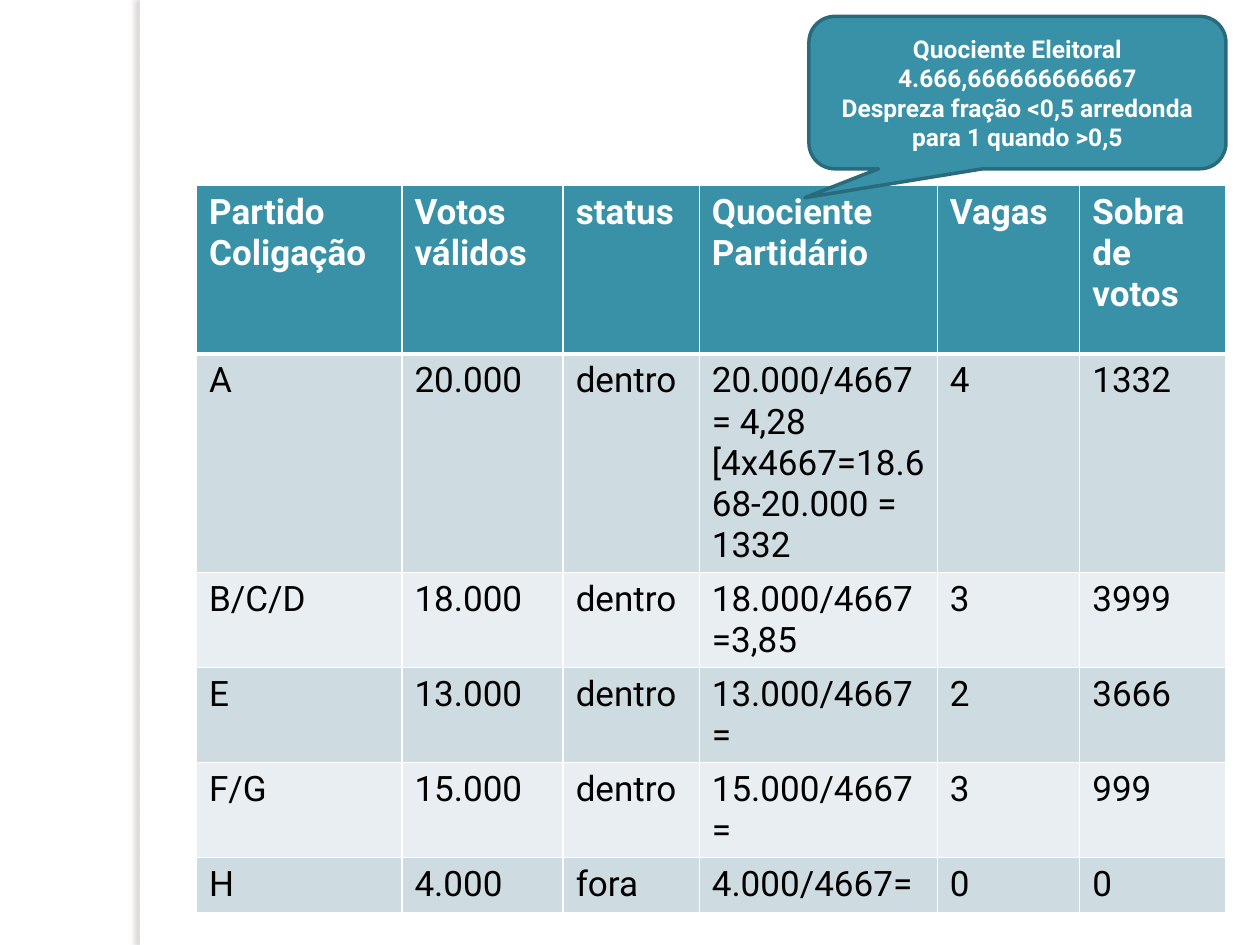
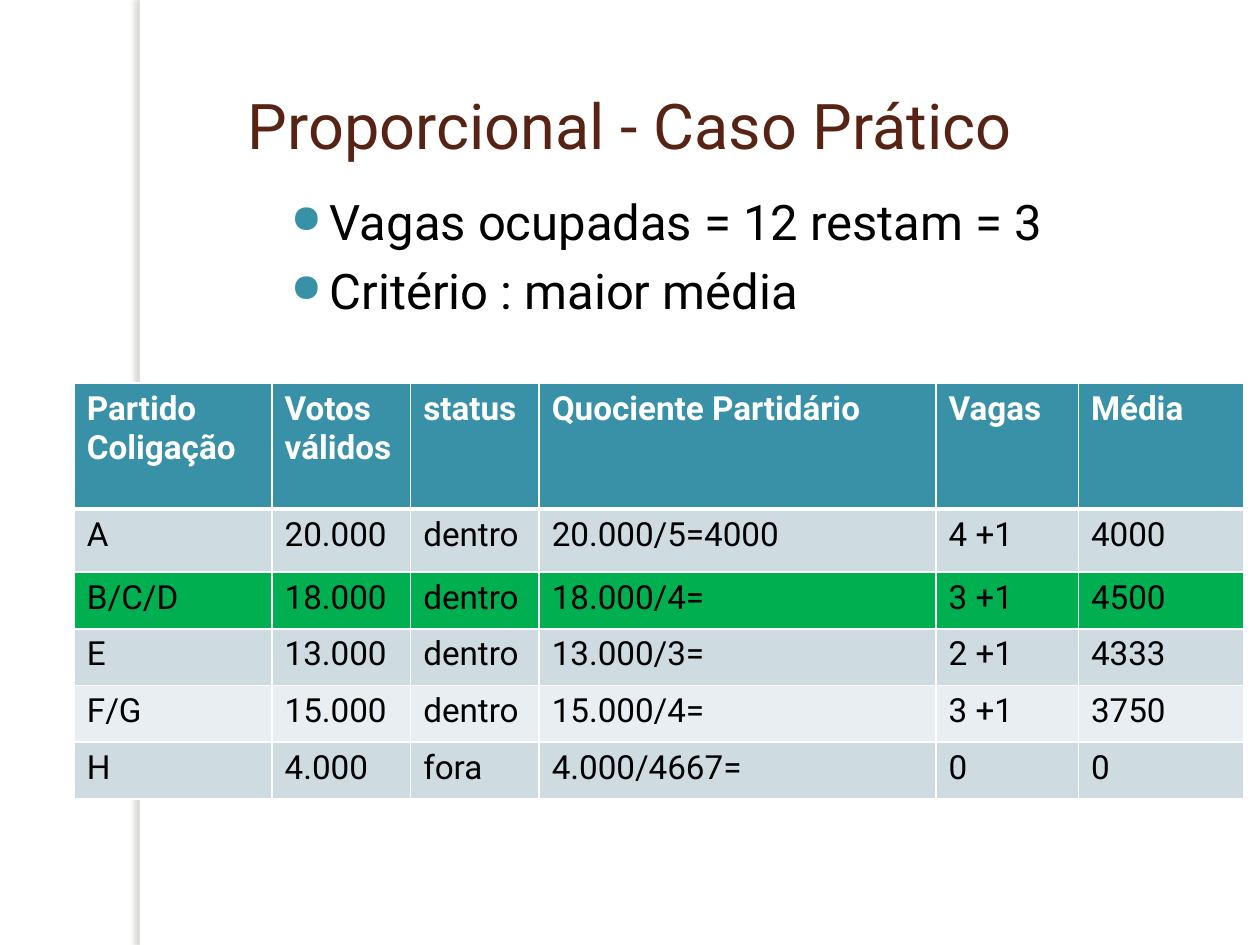
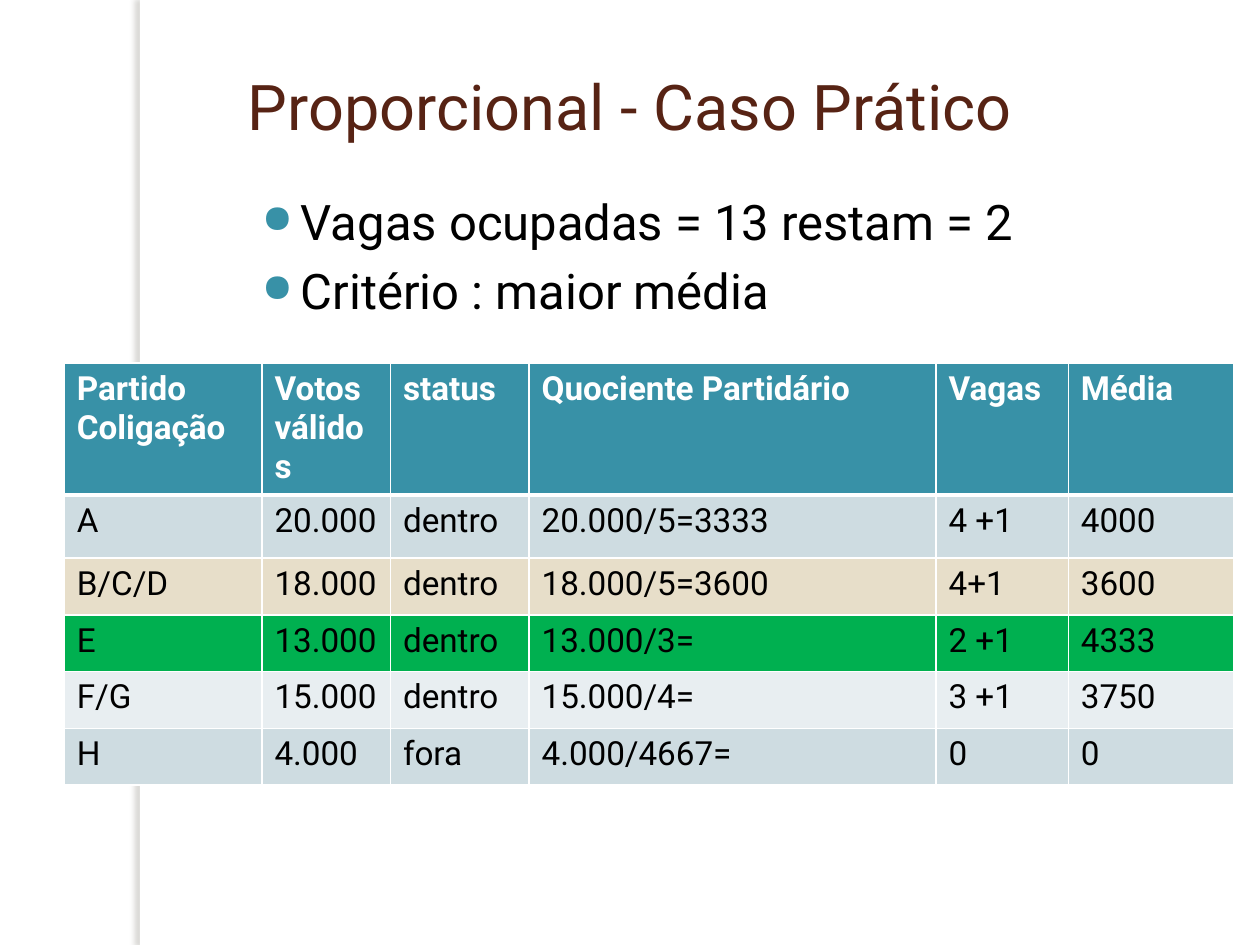
from lxml import etree
from pptx import Presentation
from pptx.dml.color import RGBColor
from pptx.enum.shapes import MSO_SHAPE as SHAPE
from pptx.enum.text import MSO_ANCHOR as ANCHOR, PP_ALIGN as ALIGN
from pptx.oxml import parse_xml
from pptx.oxml.ns import nsdecls, qn
from pptx.util import Inches, Pt

COLORS = {
    "white": "FFFFFF", "black": "000000", "teal": "3891A7", "teal_dark": "296B7C",
    "title": "572314", "shade": "736F63", "row_dark": "CEDCE1", "row_light": "E8EEF1",
    "green": "00B050", "sand": "E7DEC9",
}
FONT = "Roboto"
RGB = {name: RGBColor.from_string(value) for name, value in COLORS.items()}


def style(paragraph, size, color, bold=False, align=ALIGN.LEFT):
    paragraph.alignment = align
    for run in paragraph.runs:
        run.font.name, run.font.size, run.font.bold = FONT, Pt(size), bold
        run.font.color.rgb = RGB[color]


def add_borders(cell, top, bottom):
    for side, points in (("L", 1), ("R", 1), ("T", top), ("B", bottom)):
        cell._tc.get_or_add_tcPr().append(parse_xml(
            f'<a:ln{side} {nsdecls("a")} w="{Pt(points)}"><a:solidFill>'
            f'<a:srgbClr val="{COLORS["white"]}"/></a:solidFill></a:ln{side}>'))


TITLE = "Proporcional - Caso Prático"
HEADER = ["Partido\nColigação", "Votos\nválidos", "status", "Quociente Partidário", "Vagas"]
PARTIES = [("A", "20.000", "dentro"), ("B/C/D", "18.000", "dentro"), ("E", "13.000", "dentro"),
           ("F/G", "15.000", "dentro"), ("H", "4.000", "fora")]
ROUND_HEIGHTS = [1, 0.5, 0.45, 0.45, 0.45, 0.45]

# Content of each slide: the last three columns differ from round to round
slides = [
    {
        "table_at": (1.56, 1.47), "size": 20, "last_header": "Sobra de votos",
        "widths": [1.63, 1.28, 1.08, 1.89, 1.13, 1.16],
        "heights": [1.34, 1.03, 0.72, 0.72, 0.72, 0.44],
        "results": [("20.000/4667= 4,28 [4x4667=18.668-20.000 = 1332", "4", "1332"),
                    ("18.000/4667=3,85", "3", "3999"), ("13.000/4667=", "2", "3666"),
                    ("15.000/4667=", "3", "999"), ("4.000/4667=", "0", "0")],
        "highlights": {},
        "callout": "Quociente Eleitoral\n4.666,666666666667\n"
                   "Despreza fração <0,5 arredonda para 1 quando >0,5",
    },
    {
        "title_at": (0.6, 0.77), "body_at": (2.12, 1.47, 7.88, 5.12),
        "body": "Vagas ocupadas = 12 restam = 3\nCritério : maior média",
        "table_at": (0.59, 3.04), "size": 19, "last_header": "Média",
        "widths": [1.57, 1.1, 1.02, 3.15, 1.13, 1.31], "heights": ROUND_HEIGHTS,
        "results": [("20.000/5=4000", "4 +1", "4000"), ("18.000/4=", "3 +1", "4500"),
                    ("13.000/3=", "2 +1", "4333"), ("15.000/4=", "3 +1", "3750"),
                    ("4.000/4667=", "0", "0")],
        "highlights": {2: "green"},
    },
    {
        "title_at": (0.21, 1.25), "body_at": (1.89, 1.47, 8.11, 5.2),
        "body": "Vagas ocupadas = 13 restam = 2\nCritério : maior média",
        "table_at": (0.51, 2.88), "size": 19, "last_header": "Média",
        "widths": [1.57, 1.02, 1.1, 3.23, 1.05, 1.31], "heights": ROUND_HEIGHTS,
        "results": [("20.000/5=3333", "4 +1", "4000"), ("18.000/5=3600", "4+1", "3600"),
                    ("13.000/3=", "2 +1", "4333"), ("15.000/4=", "3 +1", "3750"),
                    ("4.000/4667=", "0", "0")],
        "highlights": {2: "sand", 3: "green"},
    },
]

prs = Presentation()
prs.slide_width, prs.slide_height = Inches(10), Inches(7.5)

for content in slides:
    slide = prs.slides.add_slide(prs.slide_layouts[6])

    # Side band with a soft shadow to the left
    band = slide.shapes.add_shape(SHAPE.RECTANGLE, Inches(1.11), 0, Inches(0.08), Inches(7.5))
    band.fill.solid()
    band.fill.fore_color.rgb = RGB["white"]
    band.line.fill.background()
    band.shadow.inherit = False
    band._element.spPr.find(qn("a:effectLst")).append(parse_xml(
        f'<a:outerShdw {nsdecls("a")} blurRad="{Pt(3)}" dist="{Pt(3)}" dir="10800000" '
        f'algn="tl" rotWithShape="0"><a:srgbClr val="{COLORS["shade"]}">'
        '<a:alpha val="25000"/></a:srgbClr></a:outerShdw>'))

    # Bullets and title
    if "body" in content:
        body = slide.shapes.add_textbox(*map(Inches, content["body_at"])).text_frame
        body.word_wrap = True
        body.text = content["body"]
        for index, paragraph in enumerate(body.paragraphs):
            props = paragraph._p.get_or_add_pPr()
            props.set("marL", str(Inches(0.4)))
            props.set("indent", str(Inches(-0.31)))
            color = etree.SubElement(props, qn("a:buClr"))
            etree.SubElement(color, qn("a:srgbClr"), val=COLORS["teal"])
            etree.SubElement(props, qn("a:buSzPct"), val="80000")
            etree.SubElement(props, qn("a:buChar"), char="●")
            paragraph.space_before = Pt(6 if index else 0)
            style(paragraph, 28, "black")

        top, height = map(Inches, content["title_at"])
        title = slide.shapes.add_textbox(0, top, Inches(10), height).text_frame
        title.word_wrap = True
        title.vertical_anchor = ANCHOR.MIDDLE
        title.text = TITLE
        style(title.paragraphs[0], 36, "title", align=ALIGN.CENTER)

    # Table of parties and seats
    rows = [HEADER + [content["last_header"]]]
    rows += [party + result for party, result in zip(PARTIES, content["results"])]
    widths, heights = content["widths"], content["heights"]
    left, top = content["table_at"]
    seats = slide.shapes.add_table(len(rows), len(widths), Inches(left), Inches(top),
                                   Inches(sum(widths)), Inches(sum(heights))).table
    for column, width in zip(seats.columns, widths):
        column.width = Inches(width)
    for r, values in enumerate(rows):
        seats.rows[r].height = Inches(heights[r])
        band_fill = "teal" if r == 0 else "row_dark" if r % 2 else "row_light"
        for c, value in enumerate(values):
            cell = seats.cell(r, c)
            add_borders(cell, top=3 if r == 1 else 1, bottom=3 if r == 0 else 1)
            cell.fill.solid()
            cell.fill.fore_color.rgb = RGB[content["highlights"].get(r, band_fill)]
            cell.text_frame.text = value
            for paragraph in cell.text_frame.paragraphs:
                style(paragraph, content["size"], "black" if r else "white", bold=r == 0)

    # Callout on the electoral quotient
    if "callout" in content:
        callout = slide.shapes.add_shape(SHAPE.ROUNDED_RECTANGULAR_CALLOUT, Inches(6.42),
                                         Inches(0.13), Inches(3.31), Inches(1.21))
        for index, value in enumerate((-0.51, 0.69, 0.17)):
            callout.adjustments[index] = value
        callout.fill.solid()
        callout.fill.fore_color.rgb = RGB["teal"]
        callout.line.color.rgb = RGB["teal_dark"]
        callout.line.width = Pt(2)
        callout.shadow.inherit = False
        callout.text_frame.word_wrap = True
        callout.text_frame.vertical_anchor = ANCHOR.MIDDLE
        callout.text_frame.text = content["callout"]
        for paragraph in callout.text_frame.paragraphs:
            style(paragraph, 14, "white", bold=True, align=ALIGN.CENTER)

prs.save("out.pptx")
